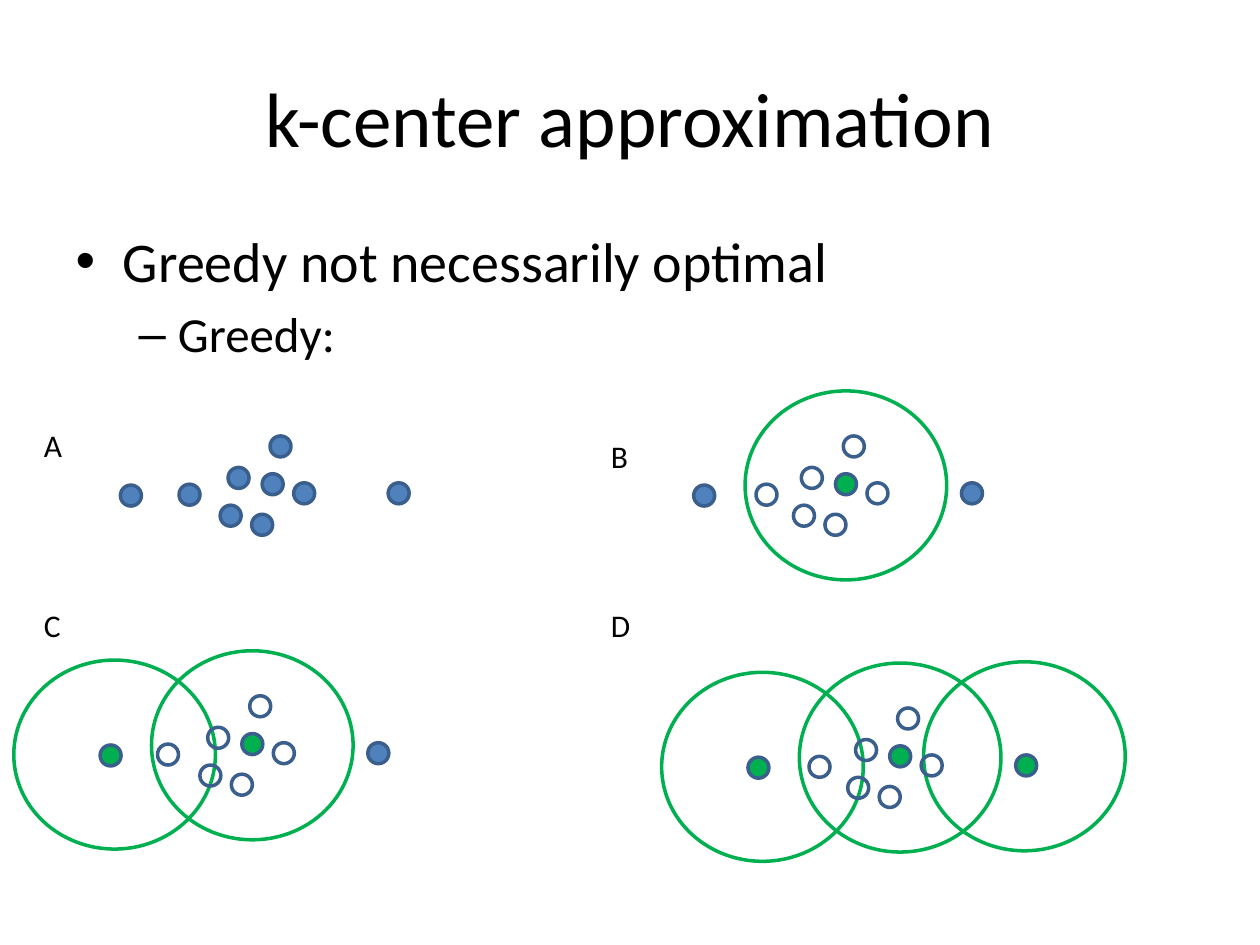
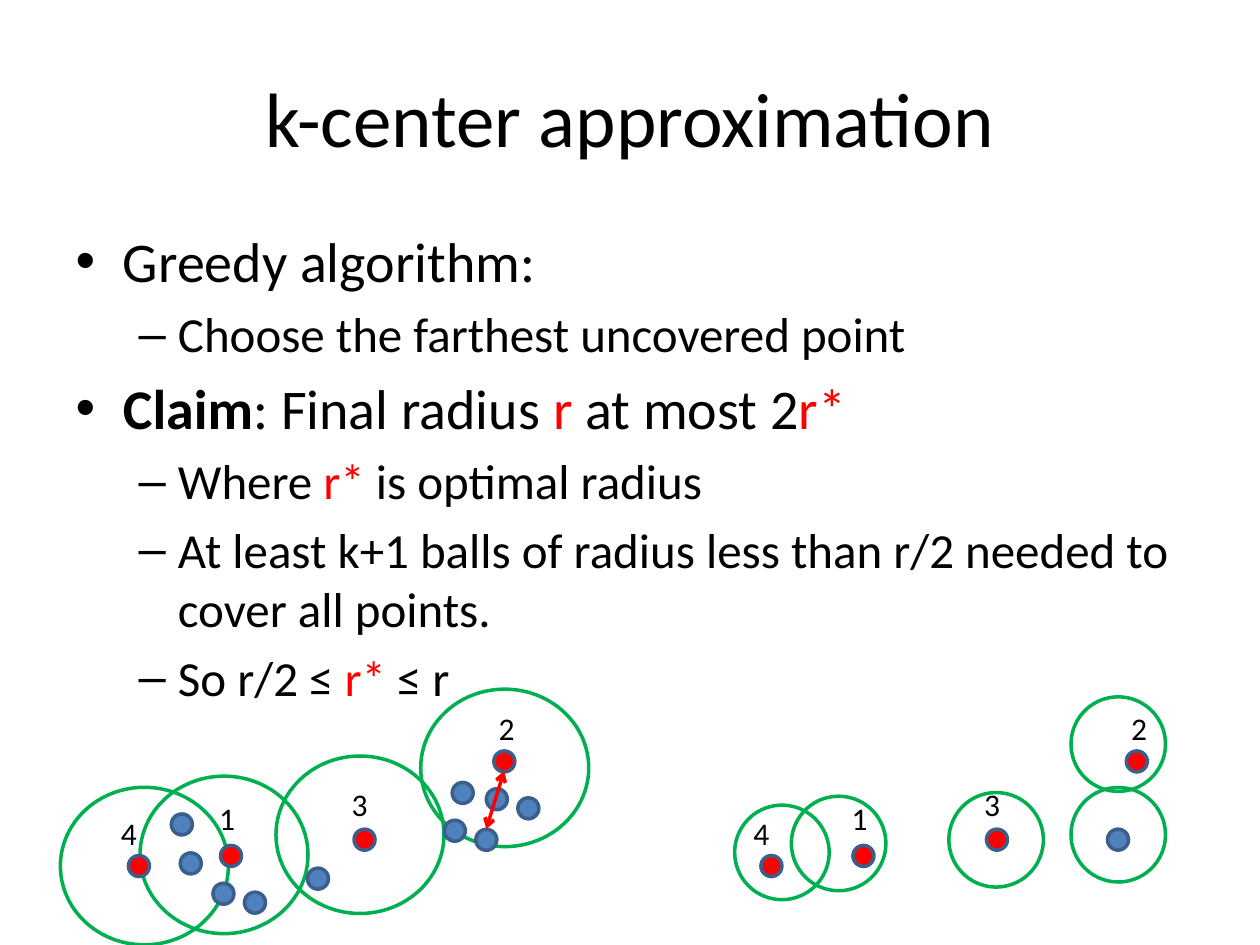
from dataclasses import dataclass

from lxml.etree import SubElement
from pptx import Presentation
from pptx.dml.color import RGBColor
from pptx.enum.shapes import MSO_CONNECTOR, MSO_SHAPE
from pptx.enum.text import MSO_ANCHOR, MSO_AUTO_SIZE, PP_ALIGN
from pptx.oxml.ns import qn
from pptx.util import Pt


@dataclass(frozen=True)
class Theme:
    font: str = "Calibri"
    ink: RGBColor = RGBColor(0, 0, 0)
    point: RGBColor = RGBColor(0x4F, 0x81, 0xBD)
    point_edge: RGBColor = RGBColor(0x3A, 0x5F, 0x8C)
    ball: RGBColor = RGBColor(0x00, 0xB0, 0x50)
    accent: RGBColor = RGBColor(0xFF, 0, 0)
    title_size: int = 44
    body_sizes: tuple = (32, 28)
    label_size: int = 18
    line: int = 2
    dot: int = 12


THEME = Theme()
TITLE = "k-center approximation"

# Points around a hub, as offsets from the hub's middle
TOP = (4.5, -21.6)
CLUSTER = [(-24, 18), (-19.5, -3.6), (-6, 23.2), (18, 5.2)]
LEFT, RIGHT = (-81, 6.5), (72, 5.2)
NEAR_HEIGHT = 6

# Covering balls of the greedy steps, as offsets from the hub's middle
HUB_BALL, LEFT_BALL, RIGHT_BALL = (0, 0.7), (-78.7, 6), (71, 0)
GREEDY_BALL = (115.2, 108)

# Step: label, label corner, hub, x offset of the near point, balls
STEPS = [
    ("A", (18, 239.8), (155.8, 276.7), -47.5, []),
    ("B", (342, 246.2), (483.4, 276.7), -45.4, [HUB_BALL]),
    ("C", (18, 342.7), (144.2, 425.2), -48.2, [LEFT_BALL, HUB_BALL]),
    ("D", (342, 342.7), (514.4, 432.2), -46.1,
     [LEFT_BALL, HUB_BALL, RIGHT_BALL]),
]

# Chosen centers: number -> middle, label offset, ball offset
CENTERS = {
    "1": ((132, 489.1), (-13.9, -36.2), (-4, -0.6)),
    "2": ((288.2, 435.1), (-10.3, -33.4), (0.2, 3.7)),
    "3": ((208.3, 479.8), (-14.4, -34.8), (-2.6, -2.8)),
    "4": ((79.4, 494.9), (-17.4, -33.4), (3.1, 0)),
}
FINAL_BALL = (96, 90)
HALF_BALL = (54, 54)
COPY_SHIFT = (361.4, 0)
FAR_HUB = (283.9, 456.7)
COVERED = [(103.9, 471.1), (109, 493.4), (127.7, 510.7),
           (145.7, 515.8), (181.7, 502.1)]
EXTRA_POINT = (638.9, 479.8)
HALF_BALLS = [(446.8, 487.1), (479.2, 482), (569.2, 479.9),
              (639, 425.2), (639, 477)]


def moved(start, offset):
    return start[0] + offset[0], start[1] + offset[1]


def place(shape, left, top, width, height):
    shape.left, shape.top = Pt(left), Pt(top)
    shape.width, shape.height = Pt(width), Pt(height)


def set_font(font, size, color=THEME.ink):
    font.name, font.size = THEME.font, Pt(size)
    font.color.rgb = color


def add_page(deck, body_height, items):
    """Add a titled page; items are (level, [(text, style), ...])."""
    page = deck.slides.add_slide(deck.slide_layouts[1])
    title, body = page.placeholders
    place(title, 36, 21.6, 648, 90)
    title.text_frame.text = TITLE
    title.text_frame.vertical_anchor = MSO_ANCHOR.MIDDLE
    para = title.text_frame.paragraphs[0]
    para.alignment = PP_ALIGN.CENTER
    set_font(para.font, THEME.title_size)

    place(body, 36, 126, 648, body_height)
    frame = body.text_frame
    frame.auto_size = MSO_AUTO_SIZE.NONE
    for index, (level, spans) in enumerate(items):
        para = frame.add_paragraph() if index else frame.paragraphs[0]
        para.level = level
        set_font(para.font, THEME.body_sizes[level])
        for text, style in spans:
            span = para.add_run()
            span.text = text
            if style == "bold":
                span.font.bold = True
            elif style == "accent":
                span.font.color.rgb = THEME.accent
    return page


def add_ellipse(page, middle, size, edge, fill=None):
    (x, y), (width, height) = middle, size
    shape = page.shapes.add_shape(
        MSO_SHAPE.OVAL, Pt(x - width / 2), Pt(y - height / 2),
        Pt(width), Pt(height))
    shape.shadow.inherit = False
    if fill is None:
        shape.fill.background()
    else:
        shape.fill.solid()
        shape.fill.fore_color.rgb = fill
    shape.line.color.rgb = edge
    shape.line.width = Pt(THEME.line)


def add_dot(page, middle, fill=None):
    add_ellipse(page, middle, (THEME.dot, THEME.dot), THEME.point_edge, fill)


def add_ball(page, middle, size):
    add_ellipse(page, middle, size, THEME.ball)


def add_label(page, text, corner):
    box = page.shapes.add_textbox(Pt(corner[0]), Pt(corner[1]), Pt(24), Pt(29))
    frame = box.text_frame
    frame.word_wrap = False
    frame.auto_size = MSO_AUTO_SIZE.SHAPE_TO_FIT_TEXT
    frame.text = text
    set_font(frame.paragraphs[0].font, THEME.label_size)


def add_double_arrow(page, start, end):
    line = page.shapes.add_connector(
        MSO_CONNECTOR.STRAIGHT, *(Pt(value) for value in (*start, *end)))
    line.line.color.rgb = THEME.accent
    line.line.width = Pt(THEME.line)
    outline = line.line._get_or_add_ln()
    for tip in ("a:headEnd", "a:tailEnd"):
        SubElement(outline, qn(tip)).set("type", "arrow")
    SubElement(line._element.spPr, qn("a:effectLst"))


def add_step(page, label, corner, hub, near, balls):
    """Points left uncovered are blue, covered ones hollow, centers green."""
    for ball in balls:
        add_ball(page, moved(hub, ball), GREEDY_BALL)
    covered = None if balls else THEME.point
    for offset in [*CLUSTER, TOP, (near, NEAR_HEIGHT)]:
        add_dot(page, moved(hub, offset), covered)
    for offset, ball in (((0, 0), HUB_BALL), (LEFT, LEFT_BALL),
                         (RIGHT, RIGHT_BALL)):
        fill = THEME.ball if ball in balls else THEME.point
        add_dot(page, moved(hub, offset), fill)
    add_label(page, label, corner)


def add_center(page, number, shift=(0, 0)):
    middle, label_offset, _ = CENTERS[number]
    middle = moved(middle, shift)
    add_dot(page, middle, THEME.accent)
    add_label(page, number, moved(middle, label_offset))


def build_greedy_steps(deck):
    page = add_page(deck, 356.4, [
        (0, [("Greedy not necessarily optimal", "")]),
        (1, [("Greedy:", "")]),
    ])
    for step in STEPS:
        add_step(page, *step)


def build_claim(deck):
    page = add_page(deck, 266.4, [
        (0, [("Greedy algorithm:", "")]),
        (1, [("Choose the farthest uncovered point", "")]),
        (0, [("Claim", "bold"), (": Final radius ", ""), ("r", "accent"),
             (" at most 2", ""), ("r*", "accent")]),
        (1, [("Where ", ""), ("r* ", "accent"), ("is optimal radius", "")]),
        (1, [("At least k+1 balls of radius less than r/2 needed to "
              "cover all points.", "")]),
        (1, [("So r/2 ≤ ", ""), ("r*", "accent"), (" ≤ r", "")]),
    ])
    # Greedy solution
    for middle, _, ball_offset in CENTERS.values():
        add_ball(page, moved(middle, ball_offset), FINAL_BALL)
    far_points = [moved(FAR_HUB, offset) for offset in [(0, 0), *CLUSTER]]
    for middle in COVERED + far_points:
        add_dot(page, middle, THEME.point)
    for number in CENTERS:
        add_center(page, number)
    add_double_arrow(page, (277.9, 473.8), (288, 440.6))

    # Balls of half the radius
    for number in CENTERS:
        add_center(page, number, COPY_SHIFT)
    add_dot(page, EXTRA_POINT, THEME.point)
    for middle in HALF_BALLS:
        add_ball(page, middle, HALF_BALL)


def main():
    deck = Presentation()
    deck.slide_width, deck.slide_height = Pt(720), Pt(540)
    build_greedy_steps(deck)
    build_claim(deck)
    deck.save("out.pptx")


if __name__ == "__main__":
    main()
